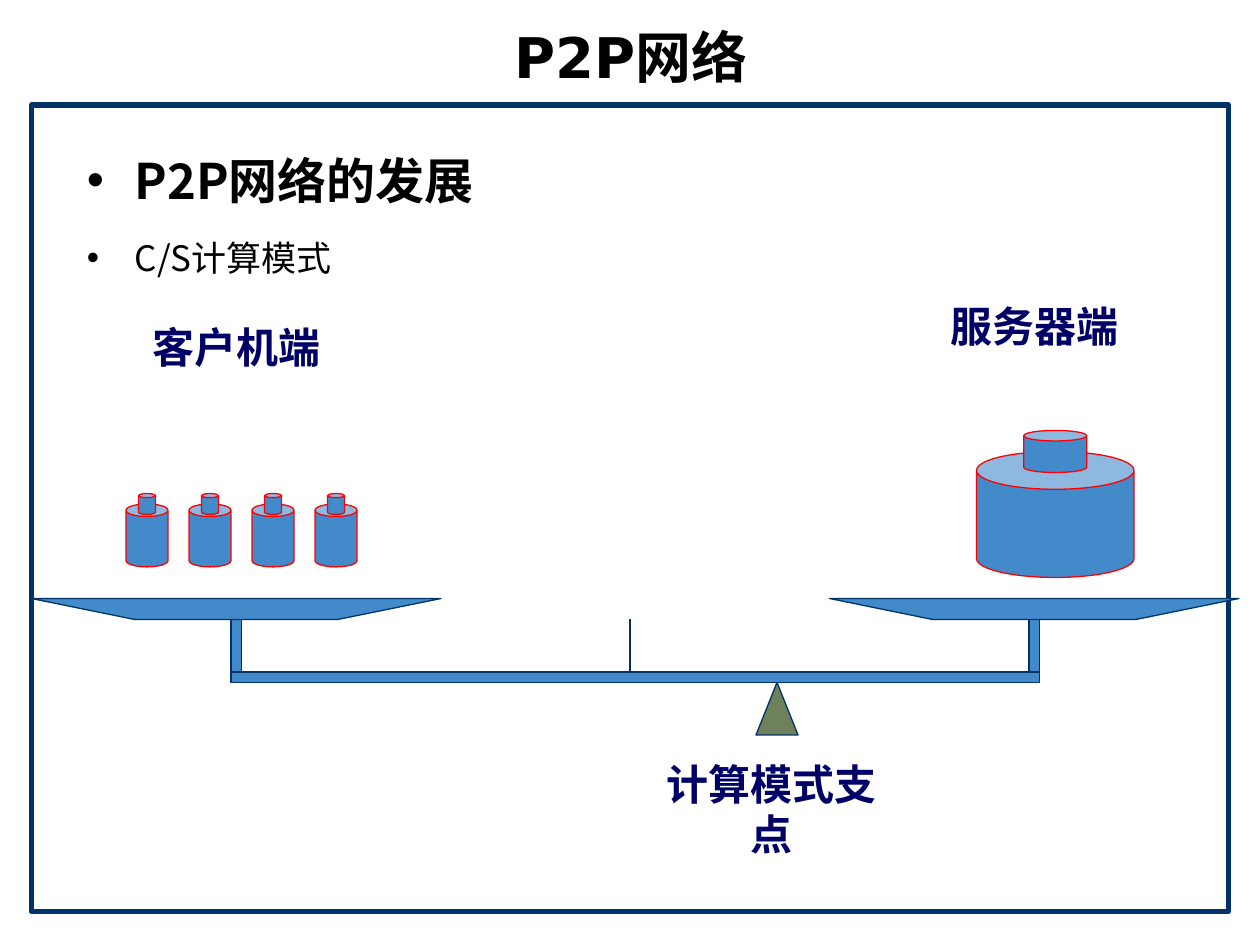
from dataclasses import dataclass

from lxml import etree
from pptx import Presentation
from pptx.dml.color import RGBColor
from pptx.enum.shapes import MSO_CONNECTOR, MSO_SHAPE
from pptx.enum.text import MSO_ANCHOR, PP_ALIGN
from pptx.oxml.ns import qn
from pptx.util import Inches, Pt

RECT, CAN = MSO_SHAPE.RECTANGLE, MSO_SHAPE.CAN
TRIANGLE = MSO_SHAPE.ISOSCELES_TRIANGLE
STRAIGHT = MSO_CONNECTOR.STRAIGHT
CENTER, LEFT = PP_ALIGN.CENTER, PP_ALIGN.LEFT
TOP, MIDDLE = MSO_ANCHOR.TOP, MSO_ANCHOR.MIDDLE
CJK = "Noto Sans CJK SC"
COLORS = {"white": "FFFFFF", "black": "000000", "navy": "003366", "blue": "438ACB",
          "red": "FF0000", "olive": "6E815B", "label": "000066"}
PER_INCH = 12  # the slide is a grid of 120 columns by 90 rows


@dataclass
class Box:
    col: float
    row: float
    cols: float
    rows: float

    def emu(self) -> list:
        return [grid(v) for v in (self.col, self.row, self.cols, self.rows)]


@dataclass
class Weight:
    """A large can with a smaller one centred on top."""
    body: Box
    knob_cols: float
    knob_rows: float
    lift: float


@dataclass
class Label:
    text: str
    col: float
    row: float


BEAM = Box(22, 64, 77, 1)
PAN_ROW, PAN_COLS, PAN_ROWS, PAN_INSET = 57, 39, 2, 9.8
PAN_COLUMNS = (3, 79)
POST_COLUMNS = (BEAM.col, BEAM.col + BEAM.cols - 1)
SERVER = Weight(Box(93, 43, 15, 12), 6, 4, 2)
CLIENTS = [Weight(Box(12 + 6 * i, 48, 4, 6), 1.6, 2, 1) for i in range(4)]
LABELS = [Label("客户机端", 11, 29), Label("服务器端", 87, 27),
          Label("计算模式支点", 62, 73)]


def grid(units: float) -> int:
    return Inches(units / PER_INCH)


def rgb(name: str) -> RGBColor:
    return RGBColor.from_string(COLORS[name])


def paint(sp, fill: str, line: str, width: float = 0.75) -> None:
    sp.shadow.inherit = False
    sp.fill.solid()
    sp.fill.fore_color.rgb = rgb(fill)
    sp.line.color.rgb = rgb(line)
    sp.line.width = Pt(width)


def add_solid(shapes, kind, box: Box, fill: str = "blue", line: str = "navy",
              width: float = 0.75):
    sp = shapes.add_shape(kind, *box.emu())
    paint(sp, fill, line, width)
    return sp


def add_weight(s, weight: Weight) -> None:
    shapes = s.shapes.add_group_shape().shapes
    body = weight.body
    knob = Box(body.col + (body.cols - weight.knob_cols) / 2, body.row - weight.lift,
               weight.knob_cols, weight.knob_rows)
    for box, rim in ((body, 0.3), (knob, 0.25)):
        add_solid(shapes, CAN, box, line="red").adjustments[0] = rim


def add_pan(s, col: float) -> None:
    right, bottom = col + PAN_COLS, PAN_ROW + PAN_ROWS
    fb = s.shapes.build_freeform(grid(col), grid(PAN_ROW))
    fb.add_line_segments([(grid(x), grid(y)) for x, y in (
        (col + PAN_INSET, bottom), (right - PAN_INSET, bottom), (right, PAN_ROW))])
    paint(fb.convert_to_shape(), "blue", "navy")


def add_frame(s, box: Box, anchor, wrap: bool = True):
    tf = s.shapes.add_textbox(*box.emu()).text_frame
    tf.word_wrap = wrap
    tf.vertical_anchor = anchor
    return tf


def add_run(p, text: str, size: float, font: str, color: str = "black",
            bold: bool = True) -> None:
    r = p.add_run()
    r.text = text
    r.font.size, r.font.bold, r.font.name = Pt(size), bold, font
    r.font.color.rgb = rgb(color)
    etree.SubElement(r.font._element, qn("a:ea")).set("typeface", CJK)


def add_centred(s, box: Box, text: str, size: float, font: str, color: str,
                wrap: bool) -> None:
    p = add_frame(s, box, MIDDLE, wrap).paragraphs[0]
    p.alignment = CENTER
    add_run(p, text, size, font, color)


def set_bullet(p) -> None:
    pPr = p._p.get_or_add_pPr()
    pPr.set("marL", str(Inches(0.38)))
    pPr.set("indent", str(-Inches(0.38)))
    color = etree.SubElement(pPr, qn("a:buClr"))
    etree.SubElement(color, qn("a:srgbClr")).set("val", COLORS["black"])
    etree.SubElement(pPr, qn("a:buFont")).set("typeface", "Arial")
    etree.SubElement(pPr, qn("a:buChar")).set("char", "•")


def add_outline(s) -> None:
    tf = add_frame(s, Box(7.1, 10.9, 108, 71.9), TOP)
    heading, item = tf.paragraphs[0], tf.add_paragraph()
    for p in (heading, item):
        p.alignment, p.line_spacing = LEFT, 1.5
    item.space_before = Pt(4)
    for p in (heading, item):
        set_bullet(p)
    add_run(heading, "P2P网络的发展", 28, CJK)
    add_run(item, "C/S计算模式", 20, CJK, bold=False)


def add_scale(s) -> None:
    post_row = PAN_ROW + PAN_ROWS
    for col in POST_COLUMNS:
        add_solid(s.shapes, RECT, Box(col, post_row, 1, BEAM.row + 1 - post_row - 1))
    for col in PAN_COLUMNS:
        add_pan(s, col)
    add_solid(s.shapes, TRIANGLE, Box(72, BEAM.row + 1, 4, 5), fill="olive")
    pointer = s.shapes.add_connector(STRAIGHT, grid(60), grid(post_row),
                                     grid(60), grid(BEAM.row + 1))
    pointer.line.color.rgb = rgb("navy")
    pointer.line.width = Pt(0.75)
    etree.SubElement(pointer._element.spPr, qn("a:effectLst"))
    for weight in (SERVER, *CLIENTS):
        add_weight(s, weight)
    add_solid(s.shapes, RECT, BEAM)


def main() -> None:
    prs = Presentation()
    prs.slide_width, prs.slide_height = Inches(10), Inches(7.5)
    s = prs.slides.add_slide(prs.slide_layouts[6])
    add_solid(s.shapes, RECT, Box(3, 10, 114, 76.8), "white", "navy", 3)
    add_outline(s)
    add_centred(s, Box(3.2, 1.6, 113.8, 7.4), "P2P网络", 32, "DejaVu Sans", "black", True)
    add_scale(s)
    for label in LABELS:
        add_centred(s, Box(label.col, label.row, 23, 8), label.text, 24,
                    "Times New Roman", "label", False)
    prs.save("out.pptx")


if __name__ == "__main__":
    main()
